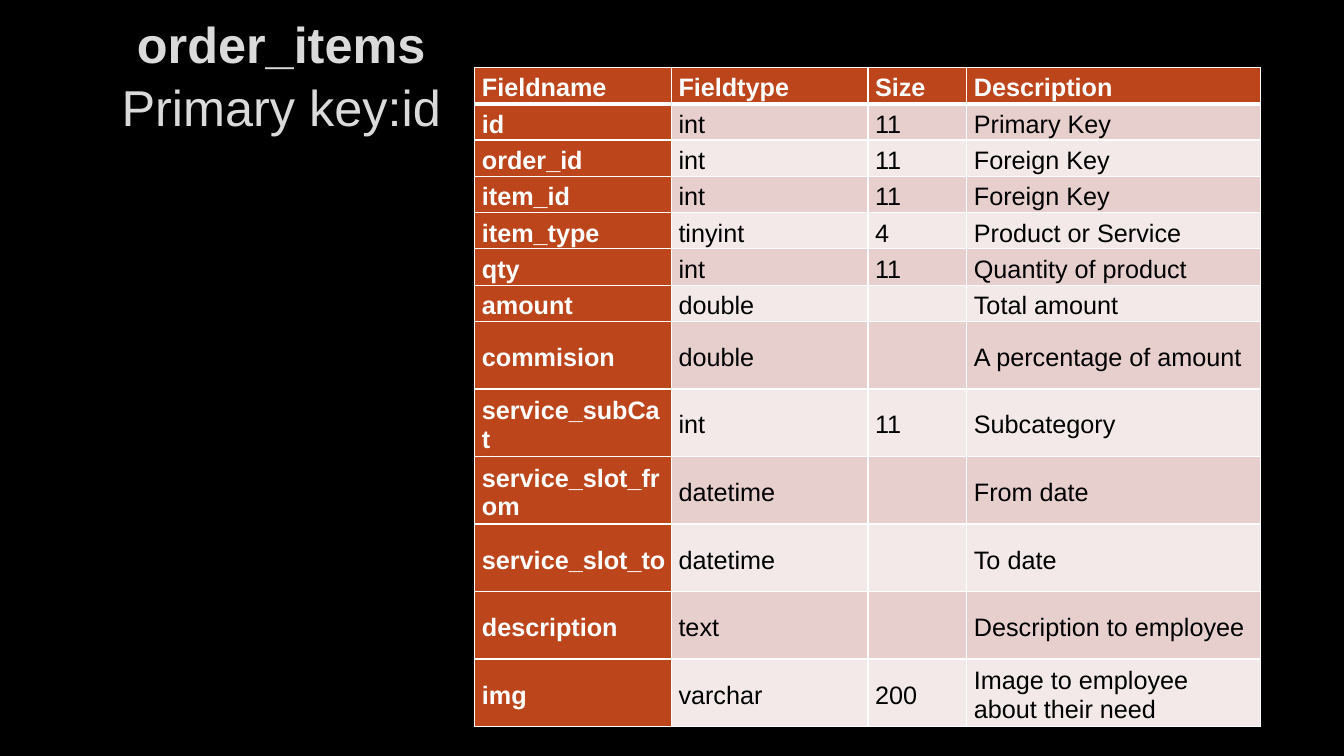
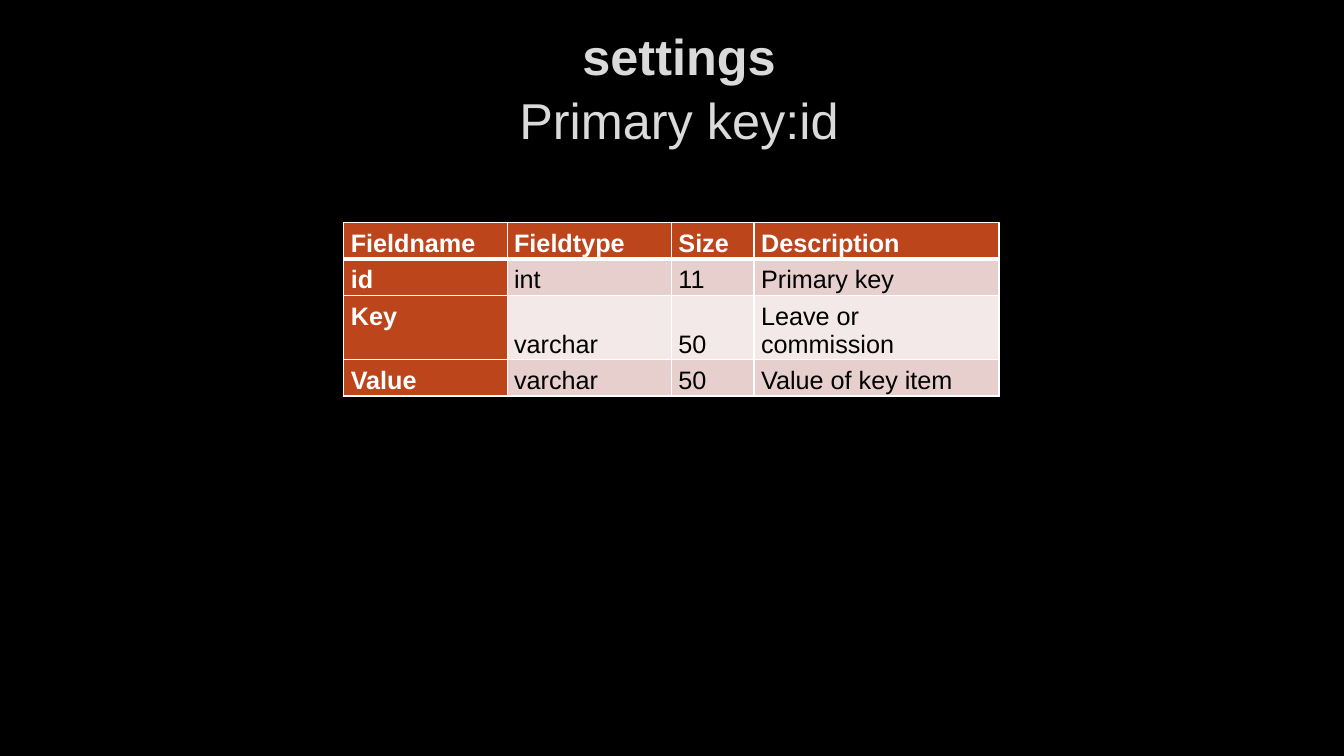
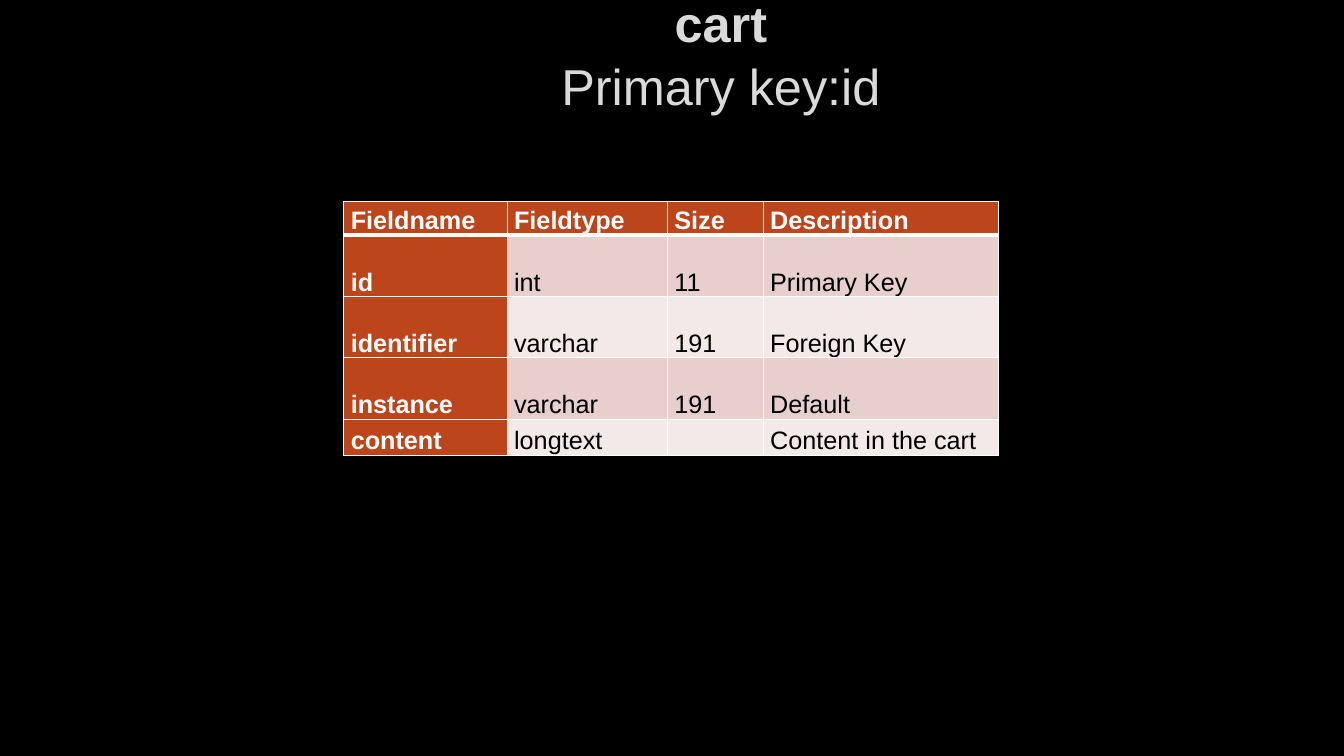
from dataclasses import dataclass

from lxml import etree
from pptx import Presentation
from pptx import util as u
from pptx.dml.color import RGBColor
from pptx.enum import text as t
from pptx.oxml.ns import qn

COLORS = {
    "back": "000000",
    "title": "DADADA",
    "head": "BC451B",
    "odd": "E7CFCD",
    "even": "F3E9E8",
    "white": "FFFFFF",
    "ink": "000000",
}
FONT = "Arial"
HEADER = ("Fieldname", "Fieldtype", "Size", "Description")
TOP, MIDDLE, BOTTOM = (
    t.MSO_ANCHOR.TOP, t.MSO_ANCHOR.MIDDLE, t.MSO_ANCHOR.BOTTOM)


@dataclass
class Title:
    name: str
    left: float
    top: float
    width: float
    indent: float = 0  # moves the bold name right of centre


@dataclass
class Grid:
    left: float
    top: float
    cols: tuple[float, ...]
    heights: list[float]
    insets: tuple[float, float, float, float]  # left, top, right, bottom
    key_anchor: t.MSO_ANCHOR  # first column below the header
    anchor: t.MSO_ANCHOR
    rows: list[tuple[str, str, str, str]]


PAGES = [
    (
        Title("order_items", -2.94, 0.5, 11.32, 0.14),
        Grid(4.71, 0.67, (1.95, 1.95, 0.98, 2.91),
             [0.36] * 7 + [0.67] * 6, (0.07, 0.05, 0.05, 0), MIDDLE, MIDDLE, [
                 ("id", "int", "11", "Primary Key"),
                 ("order_id", "int", "11", "Foreign Key"),
                 ("item_id", "int", "11", "Foreign Key"),
                 ("item_type", "tinyint", "4", "Product or Service"),
                 ("qty", "int", "11", "Quantity of product"),
                 ("amount", "double", "", "Total amount"),
                 ("commision", "double", "", "A percentage of amount"),
                 ("service_subCat", "int", "11", "Subcategory"),
                 ("service_slot_from", "datetime", "", "From date"),
                 ("service_slot_to", "datetime", "", "To date"),
                 ("description", "text", "", "Description to employee"),
                 ("img", "varchar", "200",
                  "Image to employee about their need"),
             ]),
    ),
    (
        Title("settings", 2.04, 0.62, 9.11, 0.28),
        Grid(3.41, 2.21, (1.62, 1.63, 0.82, 2.43),
             [0.36, 0.36, 0.64, 0.36], (0.07, 0.07, 0.04, 0.01), TOP, BOTTOM, [
                 ("id", "int", "11", "Primary key"),
                 ("Key", "varchar", "50", "Leave or commission"),
                 ("Value", "varchar", "50", "Value of key item"),
             ]),
    ),
    (
        Title("cart", 1.49, 0.29, 11.32),
        Grid(3.41, 2, (1.62, 1.59, 0.95, 2.33),
             [0.33, 0.61, 0.61, 0.61, 0.33], (0.07, 0.05, 0.01, 0),
             BOTTOM, BOTTOM, [
                 ("id", "int", "11", "Primary Key"),
                 ("identifier", "varchar", "191", "Foreign Key"),
                 ("instance", "varchar", "191", "Default"),
                 ("content", "longtext", "", "Content in the cart"),
             ]),
    ),
]


def style(par, size: float, color: str, bold: bool) -> None:
    for run in par.runs:
        font = run.font
        font.name, font.size, font.bold = FONT, u.Pt(size), bold
        font.color.rgb = RGBColor.from_string(COLORS[color])


def draw_title(slide, title: Title) -> None:
    box = slide.shapes.title
    box.left, box.top = u.Inches(title.left), u.Inches(title.top)
    box.width, box.height = u.Inches(title.width), u.Inches(1.06)
    frame = box.text_frame
    frame.text = f"{title.name}\nPrimary key:id"
    frame.word_wrap = True
    frame.auto_size = t.MSO_AUTO_SIZE.NONE
    frame.vertical_anchor = MIDDLE
    frame.margin_bottom = u.Inches(0.65)  # lifts the text in its box
    for par, bold in zip(frame.paragraphs, (True, False)):
        par.alignment = t.PP_ALIGN.CENTER
        par.line_spacing = 1.05
        style(par, 36, "title", bold)
    props = frame.paragraphs[0]._p.get_or_add_pPr()
    props.set("marL", str(u.Inches(title.indent)))


def edge(cell, side: str, width: float) -> None:
    line = etree.SubElement(
        cell._tc.get_or_add_tcPr(), qn(f"a:ln{side}"), w=str(u.Pt(width)))
    fill = etree.SubElement(line, qn("a:solidFill"))
    etree.SubElement(fill, qn("a:srgbClr"), val=COLORS["white"])


def draw_cell(cell, words: str, row: int, col: int, grid: Grid) -> None:
    # Borders come before the fill in the cell properties
    for side in "LRTB":
        thick = (row, side) in ((0, "B"), (1, "T"))
        edge(cell, side, 3 if thick else 1)
    strong = row == 0 or col == 0
    name = "head" if strong else "odd" if row % 2 else "even"
    cell.fill.solid()
    cell.fill.fore_color.rgb = RGBColor.from_string(COLORS[name])
    (cell.margin_left, cell.margin_top, cell.margin_right,
     cell.margin_bottom) = map(u.Inches, grid.insets)
    cell.vertical_anchor = grid.key_anchor if row and not col else grid.anchor
    cell.text_frame.text = words
    style(cell.text_frame.paragraphs[0], 18,
          "white" if strong else "ink", strong)


def draw_grid(slide, grid: Grid) -> None:
    rows = [HEADER, *grid.rows]
    table = slide.shapes.add_table(
        len(rows), len(HEADER), u.Inches(grid.left), u.Inches(grid.top),
        u.Inches(sum(grid.cols)), u.Inches(sum(grid.heights))).table
    table.first_col = True
    for column, width in zip(table.columns, grid.cols):
        column.width = u.Inches(width)
    for i, (row, height) in enumerate(zip(rows, grid.heights)):
        table.rows[i].height = u.Inches(height)
        for j, words in enumerate(row):
            draw_cell(table.cell(i, j), words, i, j, grid)


def main() -> None:
    deck = Presentation()
    deck.slide_width, deck.slide_height = u.Inches(13.33), u.Inches(7.5)

    # Shared background
    back = deck.slide_master.background.fill
    back.solid()
    back.fore_color.rgb = RGBColor.from_string(COLORS["back"])

    # One slide for each database table
    for title, grid in PAGES:
        slide = deck.slides.add_slide(deck.slide_layouts[5])
        draw_title(slide, title)
        draw_grid(slide, grid)
    deck.save("out.pptx")


if __name__ == "__main__":
    main()
